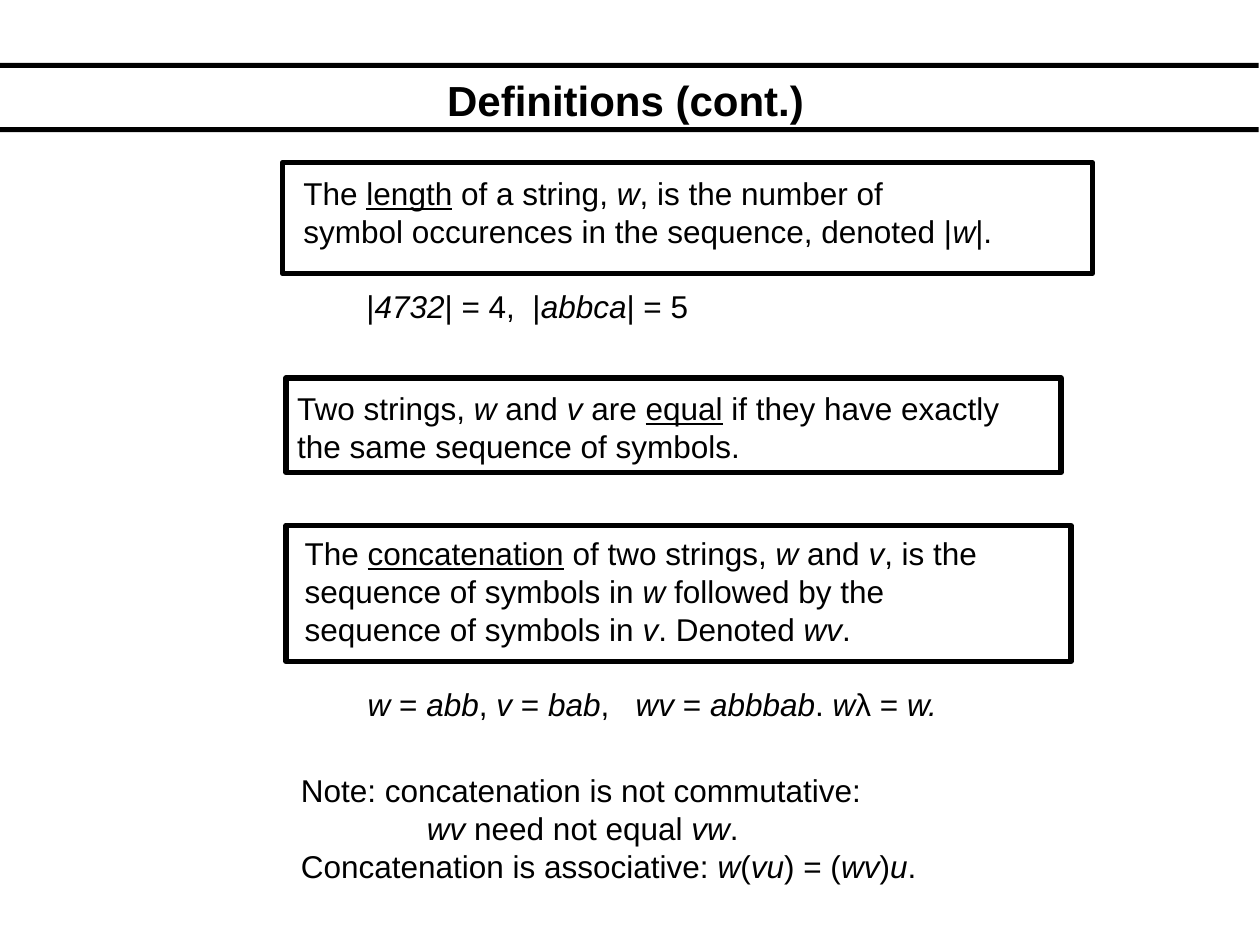
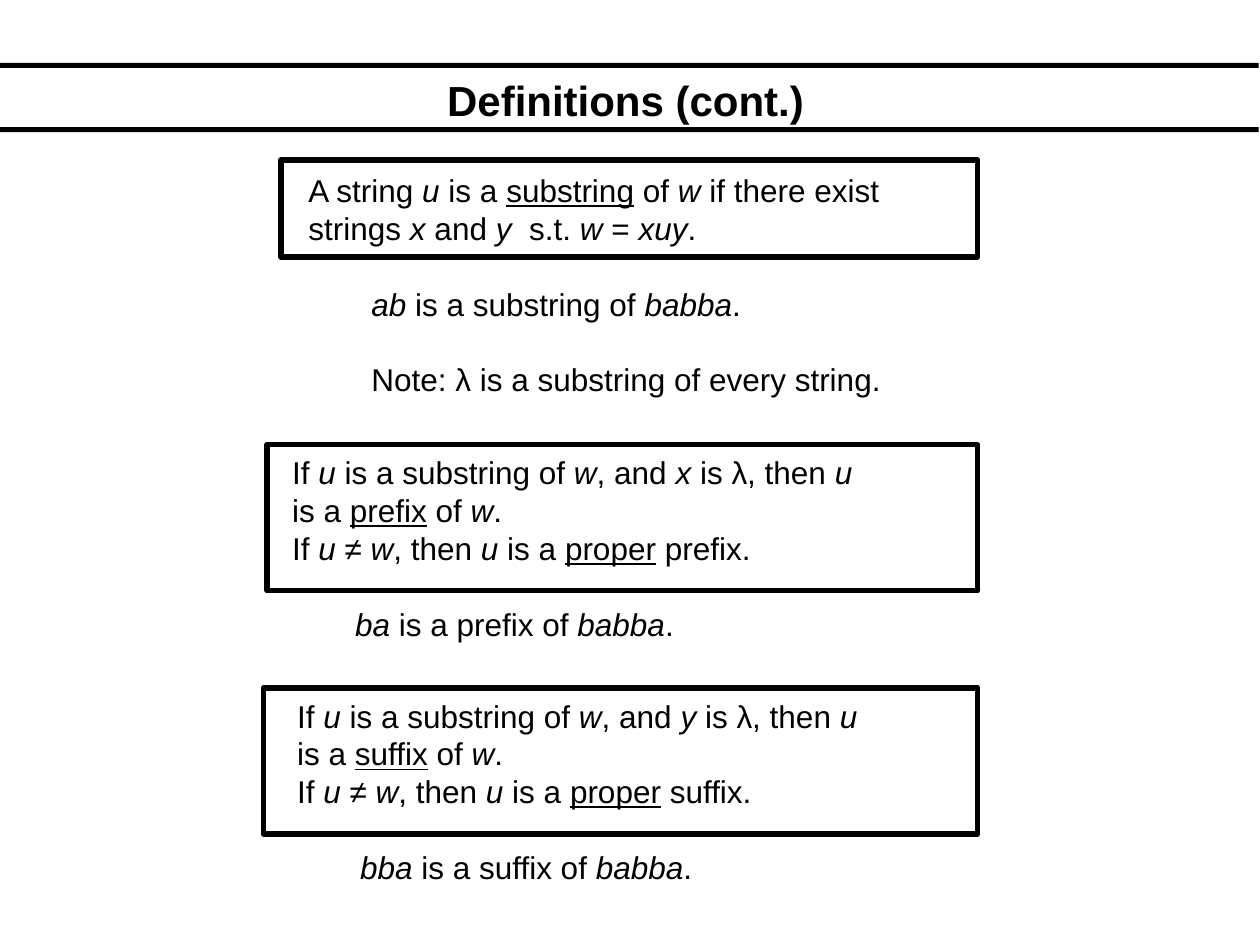
import dataclasses

import pptx
import pptx.dml.color
import pptx.enum.shapes
import pptx.enum.text
import pptx.util

Inches = pptx.util.Inches
Pt = pptx.util.Pt

COLOURS = {"ink": "000000", "paper": "FFFFFF"}
FONT = "Arial"
LINE_PITCH = 21.6
BAND_TOPS = (0.5, 1.01)
TITLE_FORMAT = {"size": Pt(24), "bold": True}
BODY_FORMAT = {"size": Pt(18)}


@dataclasses.dataclass
class Line:
    """One paragraph: *italic* and _underlined_ markup, indent in inches, lines skipped above."""
    text: str
    indent: float = 0
    skipped: int = 0


def example(text, skipped=1):
    return Line(text, indent=0.5, skipped=skipped)


def colour(name):
    return pptx.dml.color.RGBColor.from_string(COLOURS[name])


def set_attributes(target, values):
    for name, value in values.items():
        setattr(target, name, value)


def add_run(paragraph, text, font_format):
    run = paragraph.add_run()
    run.text = text
    set_attributes(run.font, {"name": FONT, **font_format})
    run.font.color.rgb = colour("ink")


def add_marked_runs(paragraph, text, font_format):
    """Odd pieces between asterisks are italic, odd pieces between underscores underlined."""
    for italic_index, part in enumerate(text.split("*")):
        for underline_index, piece in enumerate(part.split("_")):
            if piece:
                emphasis = {"italic": italic_index % 2 == 1,
                            "underline": underline_index % 2 == 1}
                add_run(paragraph, piece, {**font_format, **emphasis})


def add_text_box(slide, left, top, width, height):
    text_frame = slide.shapes.add_textbox(
        Inches(left), Inches(top), Inches(width), Inches(height)).text_frame
    text_frame.word_wrap = True
    return text_frame


def add_body(slide, place, lines):
    text_frame = add_text_box(slide, *place)
    for index, line in enumerate(lines):
        paragraph = text_frame.add_paragraph() if index else text_frame.paragraphs[0]
        set_attributes(paragraph, {"line_spacing": Pt(LINE_PITCH),
                                   "space_before": Pt(LINE_PITCH * line.skipped)})
        properties = paragraph._p.get_or_add_pPr()
        properties.set("marL", str(Inches(line.indent)))
        properties.set("indent", "0")
        add_marked_runs(paragraph, line.text, BODY_FORMAT)


def add_rectangle(slide, left, top, width, height):
    shape = slide.shapes.add_shape(
        pptx.enum.shapes.MSO_SHAPE.RECTANGLE,
        Inches(left), Inches(top), Inches(width), Inches(height))
    shape.shadow.inherit = False
    return shape


def add_band(slide, top):
    band = add_rectangle(slide, 0, top, 9.99, 0.04)
    band.fill.solid()
    band.fill.fore_color.rgb = colour("ink")
    band.line.fill.background()


def add_frame(slide, place):
    frame = add_rectangle(slide, *place)
    frame.fill.background()
    frame.line.color.rgb = colour("ink")
    frame.line.width = Pt(3)


def add_definition(slide, frame_place, text_place, lines):
    add_body(slide, text_place, lines)
    add_frame(slide, frame_place)


def add_affix_definition(slide, affix, empty_part, sample, frame_place, text_place):
    add_definition(slide, frame_place, text_place, [
        Line(f"If *u* is a substring of *w*, and *{empty_part}* is λ, then *u*"),
        Line(f"is a _{affix}_ of *w*."),
        Line(f"If *u *≠ *w*, then *u* is a _proper_ {affix}."),
        example(f"*{sample}* is a {affix} of *babba*."),
    ])


def add_titled_slide(presentation, title):
    slide = presentation.slides.add_slide(presentation.slide_layouts[6])
    slide.background.fill.solid()
    slide.background.fill.fore_color.rgb = colour("paper")
    for top in BAND_TOPS:
        add_band(slide, top)
    text_frame = add_text_box(slide, 0.56, 0.53, 8.81, 0.52)
    text_frame.vertical_anchor = pptx.enum.text.MSO_ANCHOR.MIDDLE
    paragraph = text_frame.paragraphs[0]
    paragraph.alignment = pptx.enum.text.PP_ALIGN.CENTER
    add_run(paragraph, title, TITLE_FORMAT)
    return slide


def build_string_operations(presentation):
    slide = add_titled_slide(presentation, "Definitions (cont.)")
    add_definition(slide, (2.24, 1.29, 6.43, 0.88), (2.31, 1.33, 6.02, 1.3), [
        Line("The _length_ of a string, *w*, is the number of"),
        Line("symbol occurences in the sequence, denoted |*w*|."),
        example("|*4732*| = 4,  |*abbca*| = 5"),
    ])
    add_definition(slide, (2.27, 3, 6.15, 0.75), (2.26, 3.04, 5.79, 0.7), [
        Line("Two strings, *w* and *v* are _equal_ if they have exactly"),
        Line("the same sequence of symbols."),
    ])
    add_definition(slide, (2.27, 4.17, 6.23, 1.08), (2.32, 4.19, 5.54, 1.6), [
        Line("The _concatenation_ of two strings, *w* and *v*, is the"),
        Line("sequence of symbols in *w* followed by the"),
        Line("sequence of symbols in *v*. Denoted *wv*."),
        example("*w* = *abb*, *v* = *bab*,   *wv* = *abbbab*. *w*λ = *w.*"),
    ])
    add_body(slide, (2.29, 6.07, 6.96, 1), [
        Line("Note: concatenation is not commutative:"),
        Line("*wv *need not equal *vw*.", indent=1),
        Line("Concatenation is associative: *w*(*vu*) = (*wv*)*u*."),
    ])


def build_substrings(presentation):
    slide = add_titled_slide(presentation, "Definitions (cont.)")
    add_definition(slide, (2.23, 1.27, 5.53, 0.77), (2.35, 1.31, 4.94, 1.9), [
        Line("A string *u* is a _substring_ of *w* if there exist"),
        Line("strings *x* and *y*  s.t. *w* = *xuy*."),
        example("*ab* is a substring of *babba*."),
        example("Note: λ is a substring of every string."),
    ])
    add_affix_definition(slide, "prefix", "x", "ba",
                         (2.12, 3.53, 5.64, 1.16), (2.22, 3.55, 4.86, 1.6))
    add_affix_definition(slide, "suffix", "y", "bba",
                         (2.09, 5.46, 5.67, 1.16), (2.26, 5.48, 4.86, 1.6))


def main():
    presentation = pptx.Presentation()
    presentation.slide_width = Inches(10)
    presentation.slide_height = Inches(7.5)
    build_string_operations(presentation)
    build_substrings(presentation)
    presentation.save("out.pptx")


if __name__ == "__main__":
    main()
